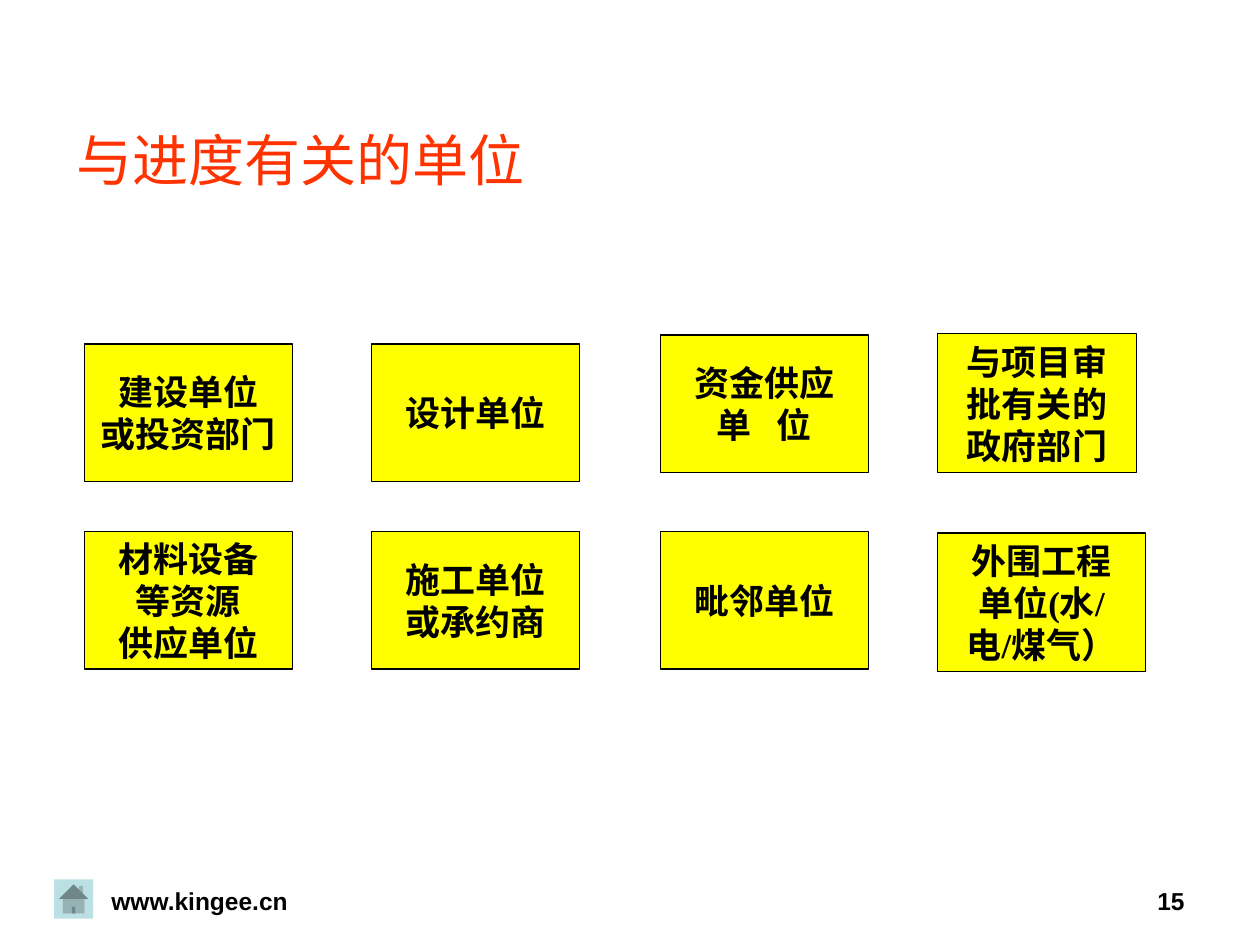
"""Build the slide on the organisations that affect a project schedule."""
from lxml.etree import SubElement
from pptx import Presentation
from pptx.dml.color import RGBColor
from pptx.enum.shapes import MSO_SHAPE
from pptx.enum.text import MSO_ANCHOR, PP_ALIGN
from pptx.oxml import parse_xml
from pptx.oxml.ns import nsdecls, qn
from pptx.util import Inches, Pt

RED = RGBColor(0xFF, 0x33, 0x00)
YELLOW = RGBColor(0xFF, 0xFF, 0x00)
PALE_TEAL = RGBColor(0xBB, 0xE0, 0xE3)
BLACK = RGBColor(0x00, 0x00, 0x00)

UNITS = [
    (0.67, 2.73, 1.65, 1.09, ["建设单位", "或投资部门"]),
    (2.95, 2.73, 1.65, 1.09, ["设计单位"]),
    (5.24, 2.66, 1.65, 1.09, ["资金供应", "单 位"]),
    (7.44, 2.65, 1.58, 1.10, ["与项目审", "批有关的", "政府部门"]),
    (0.67, 4.22, 1.65, 1.09, ["材料设备", "等资源", "供应单位"]),
    (2.95, 4.22, 1.65, 1.09, ["施工单位", "或承约商"]),
    (5.24, 4.22, 1.65, 1.09, ["毗邻单位"]),
    (7.44, 4.23, 1.65, 1.10, ["外围工程", "单位(水/", "电/煤气）"]),
]
FOOTERS = [
    (0, 3.17, PP_ALIGN.CENTER, "www.kingee.cn"),
    (7.17, 2.33, PP_ALIGN.RIGHT, "15"),
]


def add_text(paragraph, text, size, font_name, color, bold, alignment):
    paragraph.alignment = alignment
    run = paragraph.add_run()
    run.text = text
    run.font.size = Pt(size)
    run.font.name = font_name
    run.font.bold = bold
    run.font.color.rgb = color
    return run


presentation = Presentation()
presentation.slide_width = Inches(10)
presentation.slide_height = Inches(7.5)
slide = presentation.slides.add_slide(presentation.slide_layouts[5])

home_button = slide.shapes.add_shape(
    MSO_SHAPE.ACTION_BUTTON_HOME, Inches(0.43), Inches(6.98), Inches(0.31), Inches(0.31)
)
home_button.shadow.inherit = False
home_button.fill.solid()
home_button.fill.fore_color.rgb = PALE_TEAL
home_button.line.fill.background()

for left, width, alignment, text in FOOTERS:
    footer = slide.shapes.add_textbox(Inches(left), Inches(6.98), Inches(width), Inches(0.52))
    footer.text_frame.word_wrap = True
    add_text(footer.text_frame.paragraphs[0], text, 14, "Arial", BLACK, True, alignment)

title = slide.shapes.title
title.left, title.top = Inches(0.51), Inches(0.91)
title.width, title.height = Inches(9), Inches(0.71)
title.text_frame.vertical_anchor = MSO_ANCHOR.MIDDLE
title_run = add_text(
    title.text_frame.paragraphs[0], "与进度有关的单位", 32, "Arial", RED, False, PP_ALIGN.LEFT
)
text_shadow = parse_xml(
    f'<a:effectLst {nsdecls("a")}><a:outerShdw dist="25400" dir="2700000">'
    '<a:srgbClr val="000000"/></a:outerShdw></a:effectLst>'
)
title_run.font._element.find(qn("a:solidFill")).addnext(text_shadow)

for left, top, width, height, lines in UNITS:
    box = slide.shapes.add_shape(
        MSO_SHAPE.ROUNDED_RECTANGLE, Inches(left), Inches(top), Inches(width), Inches(height)
    )
    box.adjustments[0] = 0
    box.shadow.inherit = False
    box.fill.solid()
    box.fill.fore_color.rgb = YELLOW
    box.line.color.rgb = BLACK
    box.line.width = Pt(0.75)
    text_frame = box.text_frame
    text_frame.word_wrap = False
    text_frame.vertical_anchor = MSO_ANCHOR.MIDDLE
    for index, line in enumerate(lines):
        paragraph = text_frame.add_paragraph() if index else text_frame.paragraphs[0]
        run = add_text(paragraph, line, 20, "Times New Roman", BLACK, True, PP_ALIGN.CENTER)
        if " " in line:
            run.font._element.set("spc", "500")

presentation.save("out.pptx")
